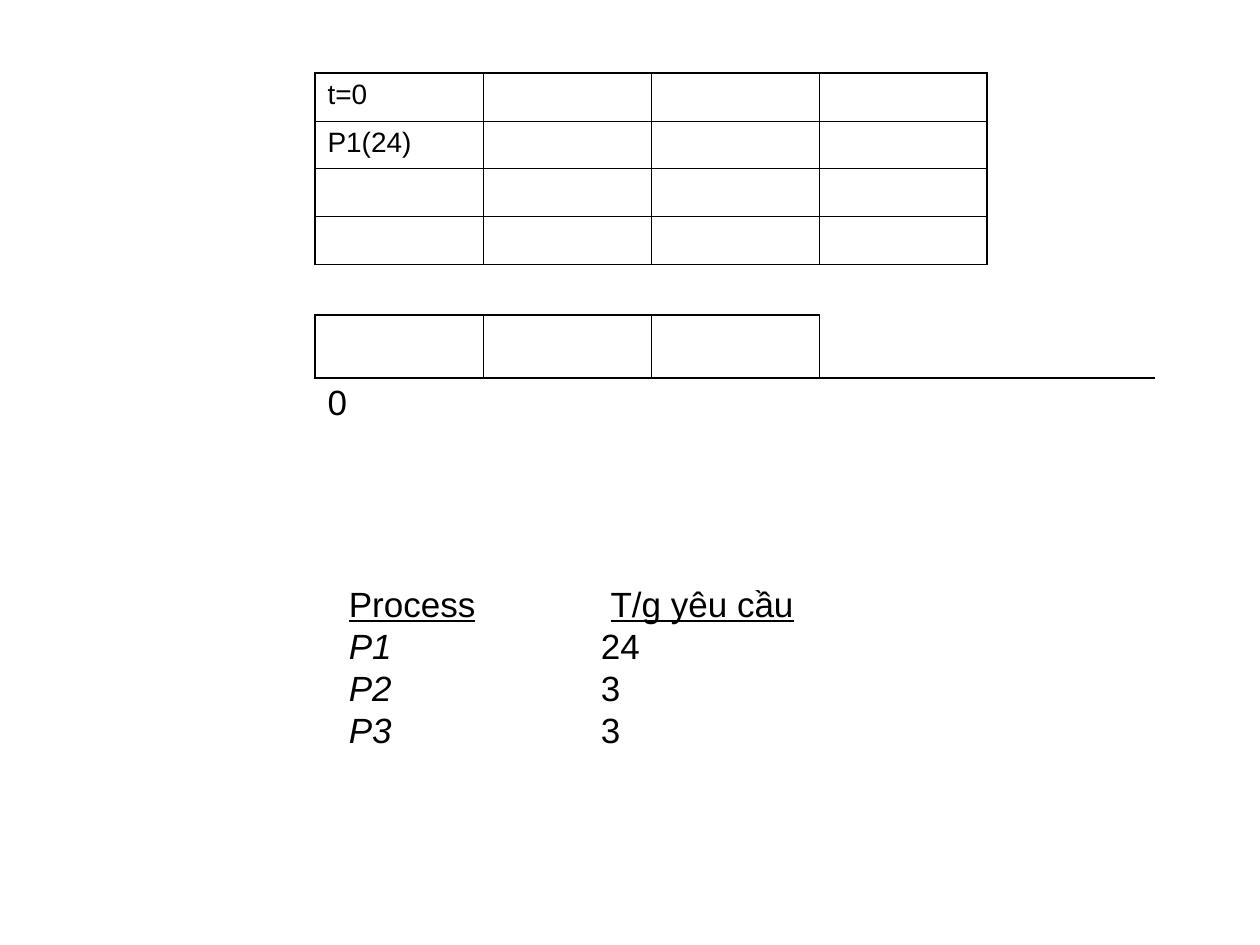
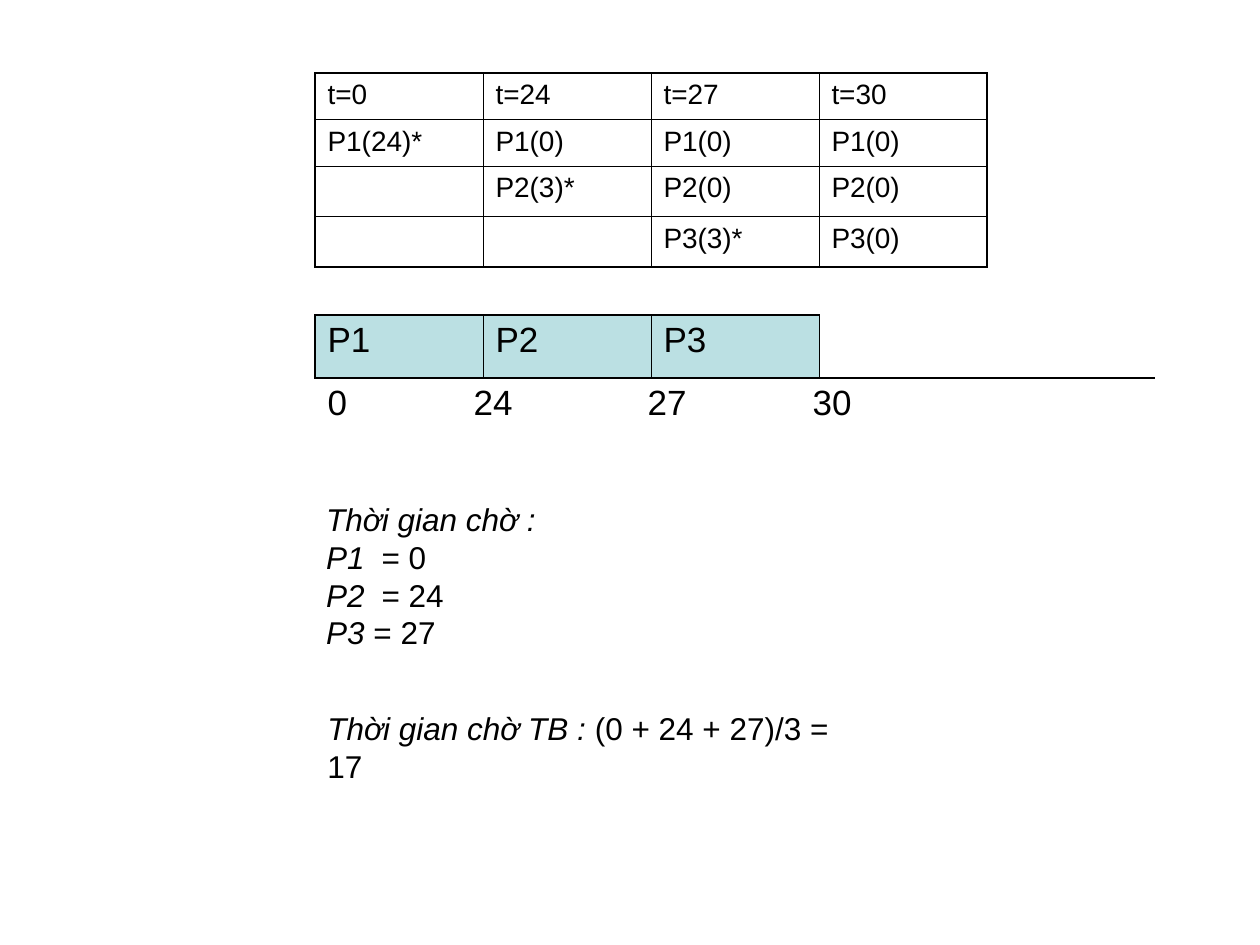
from dataclasses import dataclass
from typing import NamedTuple

from lxml import etree
from pptx import Presentation
from pptx.dml.color import RGBColor
from pptx.enum.text import MSO_AUTO_SIZE
from pptx.oxml.ns import qn
from pptx.util import Inches, Pt


@dataclass(frozen=True)
class Theme:
    """Colours, type sizes and line widths shared by the slides."""
    font: str = "Arial"
    ink: str = "000000"
    busy: str = "BBE0E3"
    state_size: float = 16
    body_size: float = 20
    wait_size: float = 18
    thin: float = 0.45
    thick: float = 1.08


class Run(NamedTuple):
    """A piece of text in one style."""
    text: str
    italic: bool = False
    underline: bool = False


class Note(NamedTuple):
    """A text box: its frame in inches, lines of runs, and tab stops."""
    frame: tuple[float, float, float, float]
    lines: list[list[Run]]
    size: float
    tabs: tuple[float, ...] = ()
    wrap: bool = True


class Schedule(NamedTuple):
    """One step of the scheduling example."""
    states: list[list[str]]
    state_heights: list[float]
    slots: list[str]
    slot_fill: str | None
    marks: str
    notes: list[Note]


THEME = Theme()
LEFT, STATE_TOP, GANTT_TOP = 2.5, 0.58, 2.5
COLUMN = 4 / 3
GANTT_ROW = 0.5
MARK_TABS = (1.16, 2.54, 3.85)
SIDES = ("L", "R", "T", "B")


def set_tabs(paragraph, stops: tuple[float, ...]) -> None:
    """Give a paragraph left tab stops, in inches."""
    if stops:
        tab_list = etree.SubElement(paragraph._p.get_or_add_pPr(), qn("a:tabLst"))
        for stop in stops:
            etree.SubElement(tab_list, qn("a:tab"), pos=str(Inches(stop)), algn="l")


def add_runs(paragraph, runs: list[Run], size: float) -> None:
    """Write the runs of one line."""
    for piece in runs:
        run = paragraph.add_run()
        run.text = piece.text
        run.font.name = THEME.font
        run.font.size = Pt(size)
        run.font.color.rgb = RGBColor.from_string(THEME.ink)
        run.font.italic = piece.italic
        run.font.underline = piece.underline


def set_borders(cell, widths: tuple[float, ...]) -> None:
    """Draw left, right, top and bottom borders; a width of 0 means none."""
    properties = cell._tc.get_or_add_tcPr()
    for side, width in zip(SIDES, widths):
        line = etree.SubElement(properties, qn(f"a:ln{side}"), w=str(Pt(width)))
        if width:
            fill = etree.SubElement(line, qn("a:solidFill"))
            etree.SubElement(fill, qn("a:srgbClr"), val=THEME.ink)
        else:
            etree.SubElement(line, qn("a:noFill"))


def fill_cell(cell, text: str, size: float, widths: tuple[float, ...],
              colour: str | None = None, tabs: tuple[float, ...] = ()) -> None:
    """Set the borders, fill and text of one cell."""
    set_borders(cell, widths)
    if colour:
        cell.fill.solid()
        cell.fill.fore_color.rgb = RGBColor.from_string(colour)
    else:
        cell.fill.background()
    paragraph = cell.text_frame.paragraphs[0]
    paragraph.space_before = Pt(size / 4)
    set_tabs(paragraph, tabs)
    if text:
        add_runs(paragraph, [Run(text)], size)
    else:
        etree.SubElement(paragraph._p, qn("a:endParaRPr"), sz=str(int(size * 100)))


def add_grid(slide, top: float, widths: list[float], heights: list[float]):
    """Add a table without banding and size its columns and rows."""
    grid = slide.shapes.add_table(len(heights), len(widths), Inches(LEFT), Inches(top),
                                  Inches(sum(widths)), Inches(sum(heights))).table
    grid.first_row = grid.horz_banding = False
    for column, width in zip(grid.columns, widths):
        column.width = Inches(width)
    for row, height in zip(grid.rows, heights):
        row.height = Inches(height)
    return grid


def add_states(slide, states: list[list[str]], heights: list[float]) -> None:
    """Draw the table of process states, with a thick outer frame."""
    last_row, last_column = len(states) - 1, len(states[0]) - 1
    grid = add_grid(slide, STATE_TOP, [COLUMN] * len(states[0]), heights)
    for r, row in enumerate(states):
        for c, state in enumerate(row):
            outer = (c == 0, c == last_column, r == 0, r == last_row)
            widths = tuple(THEME.thick if edge else THEME.thin for edge in outer)
            fill_cell(grid.cell(r, c), state, THEME.state_size, widths)


def add_gantt(slide, slots: list[str], slot_fill: str | None, marks: str) -> None:
    """Draw the processor time line with its time marks below."""
    thin, thick = THEME.thin, THEME.thick
    free = len(slots)
    grid = add_grid(slide, GANTT_TOP, [COLUMN] * free + [2 * COLUMN], [GANTT_ROW] * 2)
    for c, process in enumerate(slots):
        widths = (thin if c else thick, thin, thick, thick)
        fill_cell(grid.cell(0, c), process, THEME.body_size, widths, slot_fill)
    fill_cell(grid.cell(0, free), "", THEME.body_size, (thin, 0, 0, thick))
    for c in range(free + 1):
        fill_cell(grid.cell(1, c), "" if c else marks, THEME.body_size,
                  (0, 0, thick, 0), tabs=() if c else MARK_TABS)
    grid.cell(1, 0).merge(grid.cell(1, free))


def add_note(slide, note: Note) -> None:
    """Add a text box with one paragraph a line."""
    frame = slide.shapes.add_textbox(*map(Inches, note.frame)).text_frame
    frame.word_wrap = note.wrap
    frame.auto_size = MSO_AUTO_SIZE.SHAPE_TO_FIT_TEXT
    for number, runs in enumerate(note.lines):
        paragraph = frame.add_paragraph() if number else frame.paragraphs[0]
        set_tabs(paragraph, note.tabs)
        add_runs(paragraph, runs, note.size)


def add_schedule(deck, schedule: Schedule) -> None:
    """Add the slide of one scheduling step."""
    slide = deck.slides.add_slide(deck.slide_layouts[6])
    add_states(slide, schedule.states, schedule.state_heights)
    add_gantt(slide, schedule.slots, schedule.slot_fill, schedule.marks)
    for note in schedule.notes:
        add_note(slide, note)


REQUESTS = Note(
    (2.67, 4.57, 5, 1.44),
    [[Run("Process", underline=True), Run("\t "), Run("T/g yêu cầu", underline=True)]]
    + [[Run(f"{process}\t", italic=True), Run(burst)]
       for process, burst in (("P1", "24"), ("P2", "3"), ("P3", "3"))],
    THEME.body_size, tabs=(2,))

WAITS = Note(
    (2.49, 3.92, 1.93, 1.3),
    [[Run("Thời gian chờ : ", italic=True)]]
    + [[Run(process, italic=True), Run(wait)]
       for process, wait in (("P1", "\t= 0"), ("P2", "\t= 24"), ("P3 ", "= 27"))],
    THEME.wait_size, tabs=(0.44,), wrap=False)

AVERAGE = Note(
    (2.5, 5.58, 4.52, 0.4),
    [[Run("Thời gian chờ TB : ", italic=True), Run("(0 + 24 + 27)/3 = 17")]],
    THEME.wait_size, wrap=False)

SCHEDULES = [
    Schedule([["t=0", "", "", ""], ["P1(24)", "", "", ""], [""] * 4, [""] * 4],
             [0.38] * 4, [""] * 3, None, "0", [REQUESTS]),
    Schedule([["t=0", "t=24", "t=27", "t=30"],
              ["P1(24)*", "P1(0)", "P1(0)", "P1(0)"],
              ["", "P2(3)*", "P2(0)", "P2(0)"],
              ["", "", "P3(3)*", "P3(0)"]],
             [0.37, 0.37, 0.4, 0.4], ["P1", "P2", "P3"], THEME.busy,
             "0\t24\t27\t30", [WAITS, AVERAGE]),
]


def main() -> None:
    """Build and save the presentation."""
    deck = Presentation()
    deck.slide_width, deck.slide_height = Inches(10), Inches(7.5)
    for schedule in SCHEDULES:
        add_schedule(deck, schedule)
    deck.save("out.pptx")


main()
